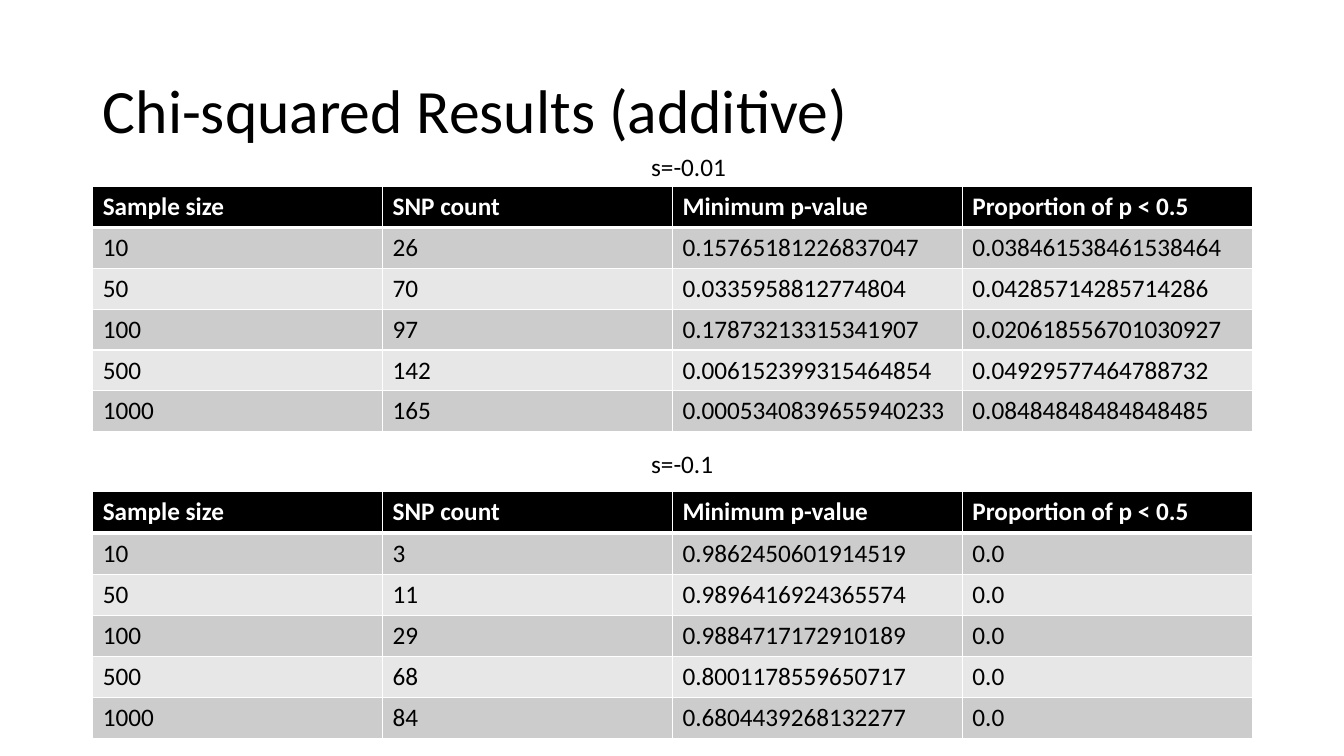
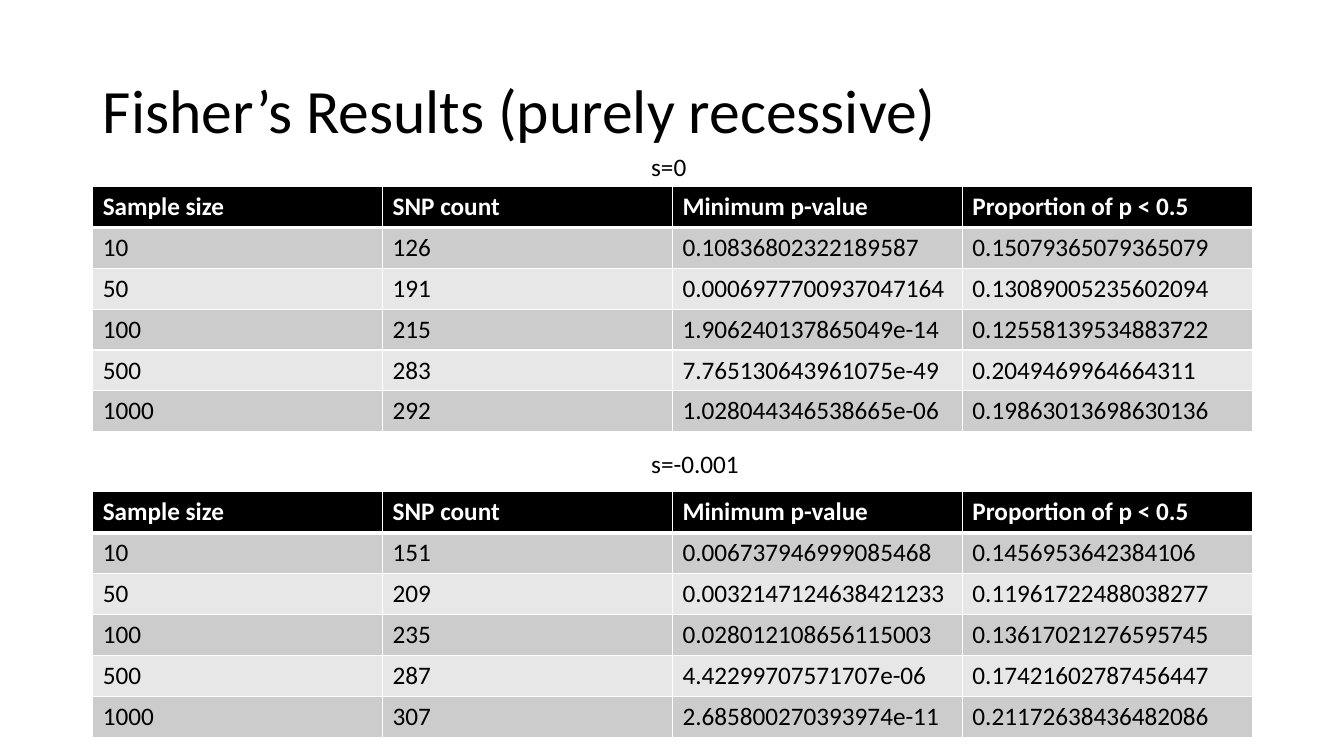
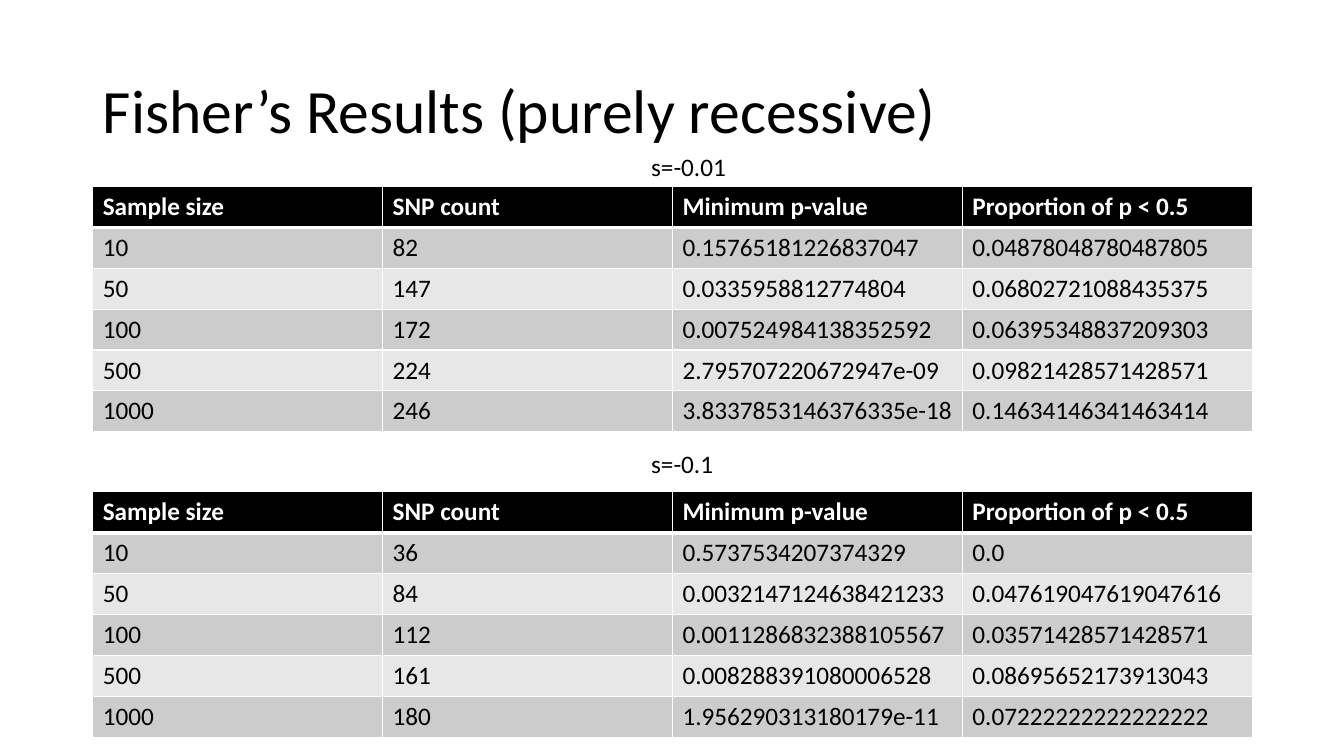
from dataclasses import dataclass
from typing import Any

from lxml.etree import SubElement
from pptx import Presentation
from pptx.dml.color import RGBColor
from pptx.enum.text import MSO_ANCHOR, MSO_AUTO_SIZE, PP_ALIGN
from pptx.oxml.ns import qn
from pptx.util import Inches, Length, Pt

BLACK = RGBColor(0x00, 0x00, 0x00)
WHITE = RGBColor(0xFF, 0xFF, 0xFF)
DARK_BAND = RGBColor(0xCC, 0xCC, 0xCC)
LIGHT_BAND = RGBColor(0xE7, 0xE7, 0xE7)

TITLE_FONT = {"name": "Calibri", "size": Pt(44), "bold": False}
BODY_FONT = {"name": "Calibri", "size": Pt(18), "bold": False}
HEADER_FONT = BODY_FONT | {"bold": True}
TITLE_FRAME = {
    "word_wrap": True,
    "auto_size": MSO_AUTO_SIZE.NONE,
    "vertical_anchor": MSO_ANCHOR.MIDDLE,
}
LABEL_FRAME = {"word_wrap": True, "auto_size": MSO_AUTO_SIZE.SHAPE_TO_FIT_TEXT}
TITLE_BOX = {
    "left": Inches(0.92),
    "top": Inches(0.4),
    "width": Inches(11.5),
    "height": Inches(1.45),
}

TABLE_LEFT, TABLE_WIDTH = Inches(0.92), Inches(11.5)
TABLE_HEIGHT = Inches(2.43)
LABEL_LEFT, LABEL_HEIGHT = Inches(6.36), Inches(0.4)
TABLE_TOPS = (Inches(1.85), Inches(4.88))
LABEL_TOPS = (Inches(1.45), Inches(4.4))

THIN, THICK = Pt(1), Pt(3)
HEADERS = ("Sample size", "SNP count", "Minimum p-value", "Proportion of p < 0.5")
SAMPLE_SIZES = ("10", "50", "100", "500", "1000")


@dataclass(frozen=True)
class Experiment:
    """Results for one selection coefficient, one entry per sample size."""

    selection: str
    snp_counts: tuple[int, ...]
    min_p_values: tuple[str, ...]
    proportions: tuple[str, ...]
    label_width: Length = Inches(1.2)
    height: Length = TABLE_HEIGHT

    def rows(self) -> list[tuple[str, ...]]:
        counts = map(str, self.snp_counts)
        body = zip(SAMPLE_SIZES, counts, self.min_p_values, self.proportions)
        return [HEADERS, *body]


@dataclass(frozen=True)
class ResultSlide:
    title: str
    experiments: tuple[Experiment, Experiment]


RESULT_SLIDES = (
    ResultSlide("Chi-squared Results (additive)", (
        Experiment(
            "s=-0.01",
            (26, 70, 97, 142, 165),
            ("0.15765181226837047", "0.0335958812774804", "0.17873213315341907",
             "0.006152399315464854", "0.0005340839655940233"),
            ("0.038461538461538464", "0.04285714285714286", "0.020618556701030927",
             "0.04929577464788732", "0.08484848484848485"),
            label_width=Inches(1),
        ),
        Experiment(
            "s=-0.1",
            (3, 11, 29, 68, 84),
            ("0.9862450601914519", "0.9896416924365574", "0.9884717172910189",
             "0.8001178559650717", "0.6804439268132277"),
            ("0.0",) * len(SAMPLE_SIZES),
            height=Inches(2.45),
        ),
    )),
    ResultSlide("Fisher’s Results (purely recessive)", (
        Experiment(
            "s=0",
            (126, 191, 215, 283, 292),
            ("0.10836802322189587", "0.0006977700937047164", "1.906240137865049e-14",
             "7.765130643961075e-49", "1.028044346538665e-06"),
            ("0.15079365079365079", "0.13089005235602094", "0.12558139534883722",
             "0.2049469964664311", "0.19863013698630136"),
            label_width=Inches(1),
        ),
        Experiment(
            "s=-0.001",
            (151, 209, 235, 287, 307),
            ("0.006737946999085468", "0.0032147124638421233", "0.028012108656115003",
             "4.42299707571707e-06", "2.685800270393974e-11"),
            ("0.1456953642384106", "0.11961722488038277", "0.13617021276595745",
             "0.17421602787456447", "0.21172638436482086"),
            label_width=Inches(1.25),
        ),
    )),
    ResultSlide("Fisher’s Results (purely recessive)", (
        Experiment(
            "s=-0.01",
            (82, 147, 172, 224, 246),
            ("0.15765181226837047", "0.0335958812774804", "0.007524984138352592",
             "2.795707220672947e-09", "3.8337853146376335e-18"),
            ("0.04878048780487805", "0.06802721088435375", "0.06395348837209303",
             "0.09821428571428571", "0.14634146341463414"),
            label_width=Inches(1),
        ),
        Experiment(
            "s=-0.1",
            (36, 84, 112, 161, 180),
            ("0.5737534207374329", "0.0032147124638421233", "0.0011286832388105567",
             "0.008288391080006528", "1.956290313180179e-11"),
            ("0.0", "0.047619047619047616", "0.03571428571428571",
             "0.08695652173913043", "0.07222222222222222"),
        ),
    )),
)


def apply_format(target: Any, values: dict[str, Any]) -> None:
    for attribute, value in values.items():
        setattr(target, attribute, value)


def write_text(frame: Any, text: str, font: dict[str, Any], color: RGBColor) -> None:
    paragraph = frame.paragraphs[0]
    run = paragraph.add_run()
    run.text = text
    apply_format(run.font, font)
    run.font.color.rgb = color


def set_borders(cell: Any, top: Length, bottom: Length) -> None:
    """Draw white cell edges; the schema wants them ahead of the fill."""
    properties = cell._tc.get_or_add_tcPr()
    edges = {"a:lnL": THIN, "a:lnR": THIN, "a:lnT": top, "a:lnB": bottom}
    for position, (tag, width) in enumerate(edges.items()):
        edge = SubElement(properties, qn(tag), w=str(int(width)))
        fill = SubElement(edge, qn("a:solidFill"))
        SubElement(fill, qn("a:srgbClr"), val=str(WHITE))
        properties.insert(position, edge)


def add_results_table(slide: Any, experiment: Experiment, top: Length) -> None:
    rows = experiment.rows()
    table = slide.shapes.add_table(
        len(rows), len(HEADERS), TABLE_LEFT, top, TABLE_WIDTH, experiment.height
    ).table
    for row_index, values in enumerate(rows):
        is_header = row_index == 0
        band = DARK_BAND if row_index % 2 else LIGHT_BAND
        for column_index, value in enumerate(values):
            cell = table.cell(row_index, column_index)
            cell.fill.solid()
            cell.fill.fore_color.rgb = BLACK if is_header else band
            set_borders(
                cell,
                top=THICK if row_index == 1 else THIN,
                bottom=THICK if is_header else THIN,
            )
            write_text(
                cell.text_frame,
                value,
                HEADER_FONT if is_header else BODY_FONT,
                WHITE if is_header else BLACK,
            )


def add_selection_label(slide: Any, experiment: Experiment, top: Length) -> None:
    label = slide.shapes.add_textbox(
        LABEL_LEFT, top, experiment.label_width, LABEL_HEIGHT
    )
    apply_format(label.text_frame, LABEL_FRAME)
    write_text(label.text_frame, experiment.selection, BODY_FONT, BLACK)


def set_title(slide: Any, text: str) -> None:
    title = slide.shapes.title
    apply_format(title, TITLE_BOX)
    apply_format(title.text_frame, TITLE_FRAME)
    apply_format(
        title.text_frame.paragraphs[0],
        {"alignment": PP_ALIGN.LEFT, "line_spacing": 0.9},
    )
    write_text(title.text_frame, text, TITLE_FONT, BLACK)


def main() -> None:
    deck = Presentation()
    apply_format(deck, {"slide_width": Inches(13.33), "slide_height": Inches(7.5)})
    title_only = deck.slide_layouts.get_by_name("Title Only")
    for result in RESULT_SLIDES:
        slide = deck.slides.add_slide(title_only)
        set_title(slide, result.title)
        for experiment, top in zip(result.experiments, TABLE_TOPS):
            add_results_table(slide, experiment, top)
        for experiment, top in zip(result.experiments, LABEL_TOPS):
            add_selection_label(slide, experiment, top)
    deck.save("out.pptx")


if __name__ == "__main__":
    main()
